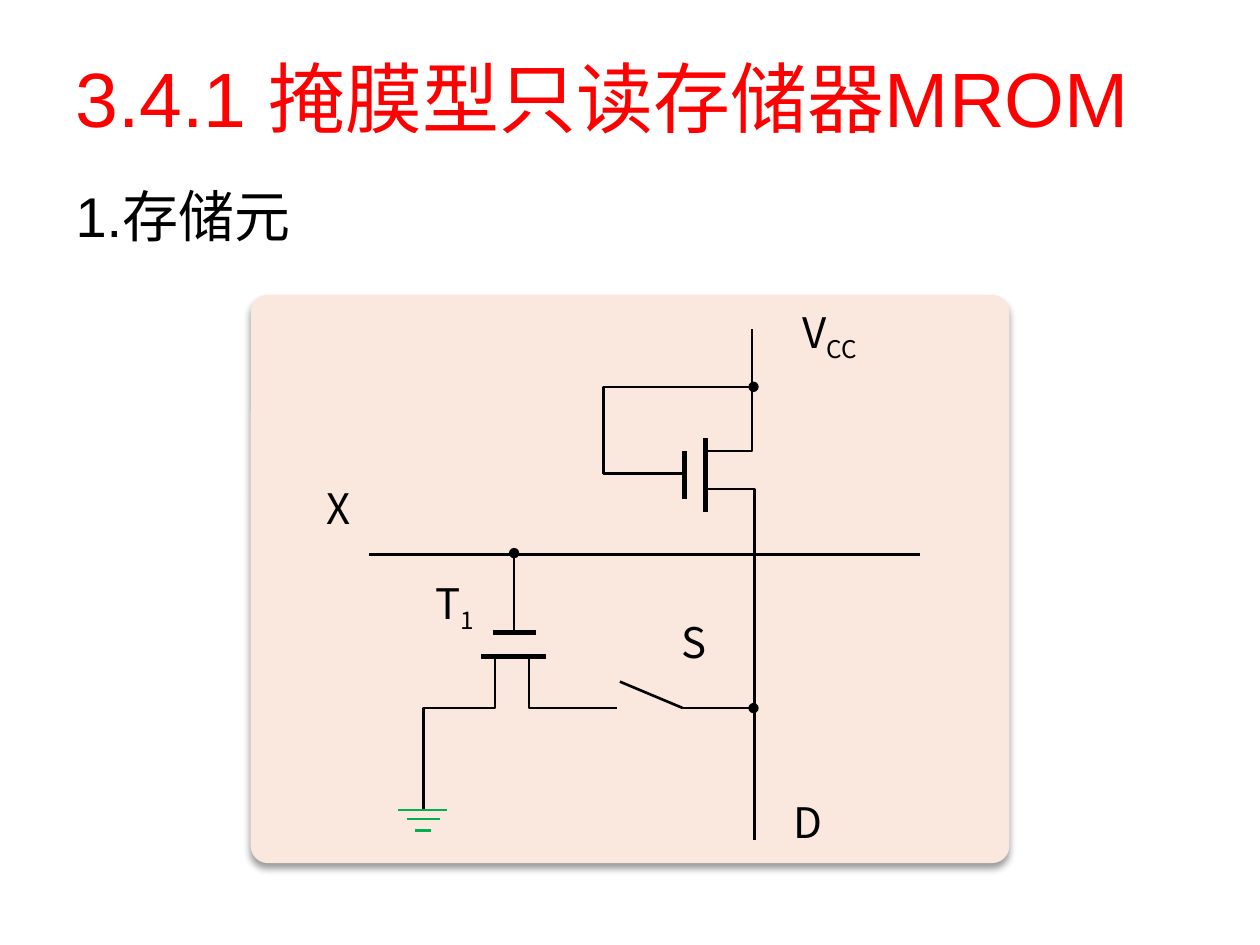
from dataclasses import dataclass

from lxml.etree import SubElement
from pptx import Presentation
from pptx.dml.color import RGBColor
from pptx.enum.shapes import MSO_CONNECTOR, MSO_SHAPE
from pptx.enum.text import MSO_ANCHOR, PP_ALIGN
from pptx.oxml.ns import qn
from pptx.shapes.shapetree import GroupShapes
from pptx.util import Inches, Pt

HUES = {"head": "FF0000", "ink": "000000", "panel": "FAE8DE", "earth": "00B050"}
WIDE, HIGH = Inches(10), Inches(7.5)
CELL = WIDE // 100


@dataclass
class Wire:
    points: list[tuple[float, float]]
    weight: float = 1.5
    hue: str = "ink"
    dot: bool = False


@dataclass
class Label:
    text: str
    col: float
    row: float
    sub: str = ""
    cols: float = 4.7


WIRES = [
    Wire([(56.1, 35.8), (59.7, 35.8), (59.7, 26.1)]),
    Wire([(56.1, 38.8), (59.9, 38.8), (59.9, 66.7)]),
    Wire([(54.3, 37.6), (47.9, 37.6), (47.9, 30.7), (59.8, 30.7)], dot=True),
    Wire([(29.3, 44), (73, 44)]),
    Wire([(42, 52.1), (42, 56.2), (49, 56.2)]),
    Wire([(39.3, 52.1), (39.3, 56.2), (33.6, 56.2), (33.6, 64.2)]),
    Wire([(54.2, 56.2), (59.8, 56.2)], dot=True),
    Wire([(54.2, 56.2), (49.2, 54.1)]),
    Wire([(40.8, 50.2), (40.8, 43.9)], dot=True),
    Wire([(38.2, 52.1), (43.3, 52.1)], 3),
    Wire([(39.1, 50.2), (42.5, 50.2)], 3),
    Wire([(54.3, 35.8), (54.3, 39.6)], 3),
    Wire([(56, 34.8), (56, 40.6)], 3),
    Wire([(31.6, 64.3), (35.5, 64.3)], hue="earth"),
    Wire([(32.3, 65), (34.9, 65)], hue="earth"),
    Wire([(32.9, 65.9), (34.2, 65.9)], hue="earth"),
]

LABELS = [
    Label("V", 60.7, 24.3, "CC", 7.3),
    Label("X", 23.1, 38.3),
    Label("S", 51.4, 48.9),
    Label("D", 60.6, 63.2),
    Label("T", 32.9, 45.8, "1"),
]


def grid(*cells: float) -> list[int]:
    return [round(cell * CELL) for cell in cells]


def tint(hue: str) -> RGBColor:
    return RGBColor.from_string(HUES[hue])


def style(para, size: int, face: str, hue: str) -> None:
    para.font.size = Pt(size)
    para.font.name = face
    para.font.color.rgb = tint(hue)


def fill_holder(holder, text: str, box: list[int], size: int, hue: str) -> None:
    holder.left, holder.top, holder.width, holder.height = box
    holder.text_frame.text = text
    para = holder.text_frame.paragraphs[0]
    para.alignment = PP_ALIGN.LEFT
    para.space_before = Pt(0)
    props = para._p.get_or_add_pPr()
    props.set("marL", "0")
    props.set("indent", "0")
    SubElement(props, qn("a:buNone"))
    style(para, size, "Arial", hue)


def draw_panel(shapes: GroupShapes) -> None:
    panel = shapes.add_shape(MSO_SHAPE.ROUNDED_RECTANGLE, *grid(19.9, 23.4, 60.2, 45.1))
    panel.adjustments[0] = 0.03
    panel.fill.solid()
    panel.fill.fore_color.rgb = tint("panel")
    panel.line.fill.background()
    panel.shadow.inherit = False
    effects = panel._element.spPr.find(qn("a:effectLst"))
    shade = SubElement(effects, qn("a:outerShdw"), blurRad=str(Pt(4)),
                       dist=str(Pt(3)), dir="5400000", rotWithShape="0")
    color = SubElement(shade, qn("a:srgbClr"), val=HUES["ink"])
    SubElement(color, qn("a:alpha"), val="40000")


def draw_wire(shapes: GroupShapes, wire: Wire) -> None:
    points = [grid(*point) for point in wire.points]
    if len(points) == 2:
        shape = shapes.add_connector(MSO_CONNECTOR.STRAIGHT, *points[0], *points[1])
    else:
        pen = shapes.build_freeform(*points[0])
        pen.add_line_segments(points[1:], close=False)
        shape = pen.convert_to_shape()
        shape.fill.background()
    shape.line.width = Pt(wire.weight)
    shape.line.color.rgb = tint(wire.hue)
    if wire.dot:
        SubElement(shape.line._get_or_add_ln(), qn("a:tailEnd"), type="oval")
    SubElement(shape._element.spPr, qn("a:effectLst"))


def draw_label(shapes: GroupShapes, label: Label) -> None:
    box = shapes.add_textbox(*grid(label.col, label.row, label.cols, 5.4))
    frame = box.text_frame
    frame.word_wrap = True
    frame.margin_left = frame.margin_right = 0
    frame.margin_top = frame.margin_bottom = 0
    para = frame.paragraphs[0]
    para.alignment = PP_ALIGN.RIGHT
    para.add_run().text = label.text
    if label.sub:
        run = para.add_run()
        run.text = label.sub
        run._r.get_or_add_rPr().set("baseline", "-25000")
    style(para, 24, "Noto Sans CJK SC", "ink")


def main() -> None:
    deck = Presentation()
    deck.slide_width, deck.slide_height = WIDE, HIGH
    slide = deck.slides.add_slide(deck.slide_layouts[1])
    title, body = slide.placeholders
    fill_holder(title, "3.4.1 掩膜型只读存储器MROM", grid(5, 3, 90, 9.3), 44, "head")
    title.text_frame.vertical_anchor = MSO_ANCHOR.MIDDLE
    fill_holder(body, "1.存储元", grid(5, 13.9, 90, 53.1), 32, "ink")
    shapes = slide.shapes.add_group_shape().shapes
    draw_panel(shapes)
    for wire in WIRES:
        draw_wire(shapes, wire)
    for label in LABELS:
        draw_label(shapes, label)
    deck.save("out.pptx")


if __name__ == "__main__":
    main()
